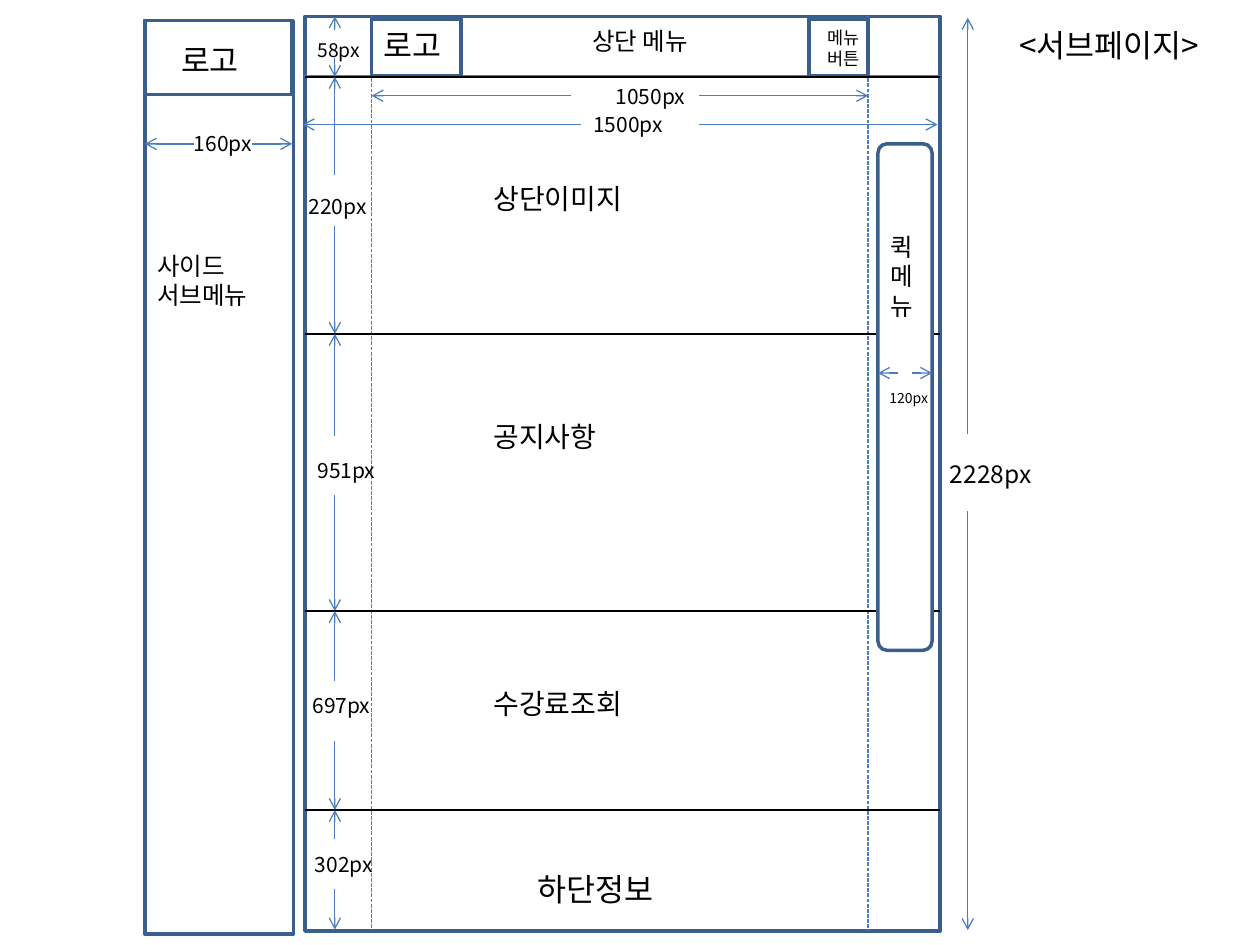
from lxml.etree import SubElement
from pptx import Presentation
from pptx.dml.color import RGBColor
from pptx.enum.dml import MSO_LINE
from pptx.enum.shapes import MSO_CONNECTOR, MSO_SHAPE
from pptx.enum.text import MSO_AUTO_SIZE, PP_ALIGN
from pptx.oxml.ns import qn
from pptx.util import Cm, Pt

FONT = "Noto Sans CJK KR"
BLACK = RGBColor(0x00, 0x00, 0x00)
WHITE = RGBColor(0xFF, 0xFF, 0xFF)
NAVY = RGBColor(0x3A, 0x5F, 0x8C)
BLUE = RGBColor(0x4B, 0x7E, 0xBC)


def add_box(s, x, y, w, h, fill=None, kind=MSO_SHAPE.RECTANGLE):
    """Add an outlined box, unfilled unless a colour is given."""
    sp = s.shapes.add_shape(kind, Cm(x), Cm(y), Cm(w), Cm(h))
    sp.shadow.inherit = False
    if fill is None:
        sp.fill.background()
    else:
        sp.fill.solid()
        sp.fill.fore_color.rgb = fill
    sp.line.color.rgb = NAVY
    sp.line.width = Pt(2)


def add_text(s, text, x, y, w, h, size, align=None):
    """Add a wrapped label; each line of text is a paragraph."""
    tf = s.shapes.add_textbox(Cm(x), Cm(y), Cm(w), Cm(h)).text_frame
    tf.word_wrap = True
    tf.auto_size = MSO_AUTO_SIZE.SHAPE_TO_FIT_TEXT
    tf.text = text
    for p in tf.paragraphs:
        p.alignment = align
        p.font.size = Pt(size)
        p.font.name = FONT
        p.font.color.rgb = BLACK
        for r in p.runs:
            SubElement(r.font._element, qn("a:ea"), typeface=FONT)


def add_line(s, x1, y1, x2, y2, color=BLUE, width=0.75, dash=None, arrow=False):
    """Add a straight line, with an open arrowhead at its end if wanted."""
    line = s.shapes.add_connector(MSO_CONNECTOR.STRAIGHT, Cm(x1), Cm(y1), Cm(x2), Cm(y2))
    line.line.color.rgb = color
    line.line.width = Pt(width)
    if dash:
        line.line.dash_style = dash
    if arrow:
        SubElement(line.line._get_or_add_ln(), qn("a:tailEnd"), type="arrow")
    SubElement(line._element.spPr, qn("a:effectLst"))


def add_width(s, y, start, gap_start, gap_end, end):
    """Add a horizontal dimension: two arrows pointing away from a gap."""
    add_line(s, gap_start, y, start, y, arrow=True)
    add_line(s, gap_end, y, end, y, arrow=True)


def add_height(s, x, start, gap_start, gap_end, end):
    """Add a vertical dimension: two arrows pointing away from a gap."""
    add_line(s, x, gap_start, x, start, arrow=True)
    add_line(s, x, gap_end, x, end, arrow=True)


def add_sidebar(s, x, y, w, h):
    """Add the side menu with its logo box and width."""
    add_box(s, x, y, w, h, WHITE)
    add_box(s, x, y, w - 0.03, 1.5)
    add_text(s, "로고", x + 0.48, y + 0.3, 2.49, 1.02, 18)
    add_width(s, y + 2.49, x, x + 0.99, x + 2.16, x + 2.97)
    add_text(s, "160px", x + 0.74, y + 2.1, 1.8, 0.76, 12)
    add_text(s, "사이드\n서브메뉴", x, y + 4.52, w, 1.45, 14)


def add_header(s, x, y, w):
    """Add the top bar: logo, menu and menu button."""
    add_line(s, x - 0.05, y + 1.19, x + w, y + 1.19)
    add_box(s, x + 1.34, y + 0.05, 1.8, 1.14)
    add_box(s, x + 10.16, y + 0.05, 1.19, 1.14)
    add_text(s, "로고", x + 1.34, y + 0.08, 1.8, 1.02, 18)
    add_text(s, "상단 메뉴", x + 3.35, y + 0.08, 6.81, 0.86, 14, PP_ALIGN.CENTER)
    add_text(s, "메뉴버튼", x + 10.16, y + 0.08, 1.4, 1.12, 10, PP_ALIGN.CENTER)


def add_widths(s, x, y):
    """Add the content width and the full page width."""
    add_width(s, y + 1.6, x + 1.34, x + 5.36, x + 7.95, x + 11.35)
    add_text(s, "1050px", x + 5.36, y + 1.22, 3.2, 0.76, 12, PP_ALIGN.CENTER)
    add_width(s, y + 2.18, x - 0.05, x + 5.56, x + 7.95, x + 12.75)
    add_text(s, "1500px", x + 5.56, y + 1.8, 2.01, 0.76, 12)


def add_sections(s, x, y, w):
    """Add section dividers, heights and titles."""
    # top, gap start, gap end, bottom, height label, label x, label y, label size
    sections = [
        (0, 0.28, 0.84, 1.22, "58px", 0, 0.31, 11),
        (1.22, 3.2, 4.22, 6.4, "220px", -0.18, 3.45, 12),
        (6.4, 8.46, 9.65, 11.99, "951px", 0, 8.76, 12),
        (11.99, 13.39, 14.61, 16, "697px", -0.1, 13.51, 12),
        (16, 16.59, 17.6, 18.41, "302px", -0.05, 16.71, 12),
    ]
    for top, gap_start, gap_end, bottom, label, dx, dy, size in sections:
        if top:
            add_line(s, x, y + top, x + w, y + top, BLACK, 1.5)
        add_height(s, x + 0.6, y + top, y + gap_start, y + gap_end, y + bottom)
        add_text(s, label, x + dx, y + dy, 1.98, 0.76, size)
    titles = [
        ("상단이미지", 3.55, 3.2, 16),
        ("공지사항", 3.55, 8, 16),
        ("수강료조회", 3.55, 13.39, 16),
        ("하단정보", 4.44, 17.09, 18),
    ]
    for title, dx, dy, size in titles:
        add_text(s, title, x + dx, y + dy, 5, 0.94, size)


def add_quick_menu(s, x, y, w, h):
    """Add the floating quick menu with its width."""
    add_box(s, x, y, w, h, WHITE, MSO_SHAPE.ROUNDED_RECTANGLE)
    add_text(s, "퀵메뉴", x, y + 1.65, 0.79, 2.06, 14)
    add_width(s, y + 4.62, x, x + 0.41, x + 0.69, x + w)
    add_text(s, "120px", x - 0.02, y + 4.82, 1.6, 0.61, 8)


def add_page(s, x, y, w, h):
    """Add the page wireframe with all its parts."""
    add_box(s, x, y, w, h, WHITE)
    for guide in (1.34, 11.35):
        add_line(s, x + guide, y, x + guide, y + h, dash=MSO_LINE.SQUARE_DOT)
    add_header(s, x, y, w)
    add_widths(s, x, y)
    add_sections(s, x, y, w)
    add_quick_menu(s, x + 11.55, y + 2.57, 1.09, 10.21)


def add_page_notes(s, x, y):
    """Add the total height and the slide title right of the page."""
    add_height(s, x + 0.61, y, y + 8.38, y + 9.95, y + 18.39)
    add_text(s, "2228px", x, y + 8.76, 3.61, 0.86, 14)
    add_text(s, "<서브페이지>", x + 1.4, y + 0.05, 5.1, 1.02, 18)


prs = Presentation()
prs.slide_width, prs.slide_height = Cm(25.4), Cm(19.05)
s = prs.slides.add_slide(prs.slide_layouts[6])
add_page(s, 6.15, 0.33, 12.8, 18.44)
add_sidebar(s, 2.92, 0.41, 3, 18.42)
add_page_notes(s, 18.9, 0.36)
prs.save("out.pptx")
